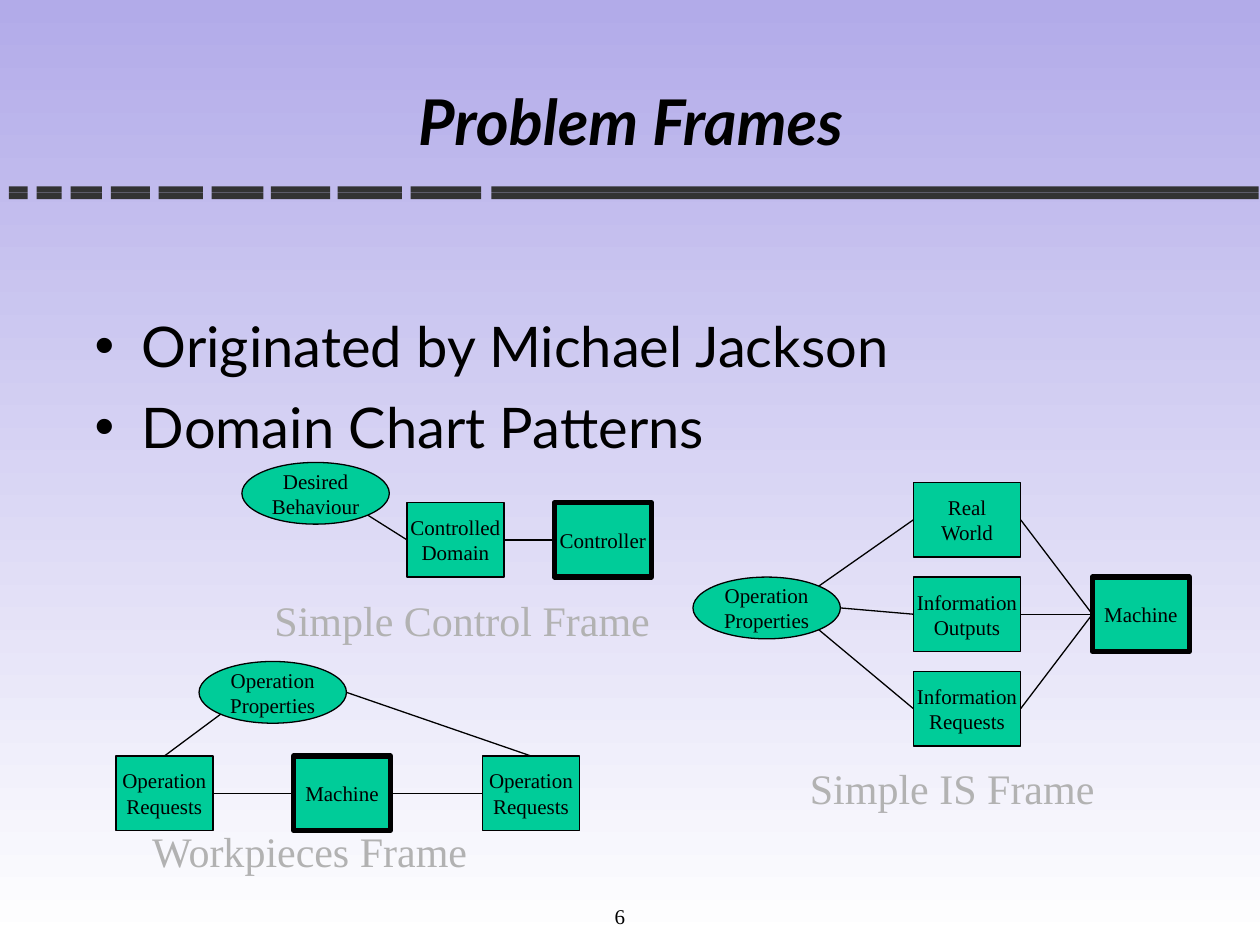
from math import sqrt

from lxml import etree
from pptx import Presentation
from pptx.dml.color import RGBColor
from pptx.enum.shapes import MSO_CONNECTOR, MSO_SHAPE
from pptx.enum.text import MSO_ANCHOR, MSO_AUTO_SIZE, PP_ALIGN
from pptx.oxml.ns import qn
from pptx.util import Inches, Pt

RECT, OVAL = MSO_SHAPE.RECTANGLE, MSO_SHAPE.OVAL
STRAIGHT = MSO_CONNECTOR.STRAIGHT
LEFT, CENTER = PP_ALIGN.LEFT, PP_ALIGN.CENTER
TOP_ANCHOR, MIDDLE, BOTTOM_ANCHOR = MSO_ANCHOR.TOP, MSO_ANCHOR.MIDDLE, MSO_ANCHOR.BOTTOM
FIT_SHAPE, NO_FIT = MSO_AUTO_SIZE.SHAPE_TO_FIT_TEXT, MSO_AUTO_SIZE.NONE

THEME = {
    "sky": "B2ABE9", "white": "FFFFFF", "rule": "333333", "node": "00CC99",
    "ink": "000000", "caption": "B2B2B2",
    "heading_font": "Lato", "diagram_font": "Times New Roman",
    "title_pt": 36, "body_pt": 32, "caption_pt": 24, "node_pt": 12,
    "thin_pt": 0.75, "machine_pt": 3,
}

# Content
TITLE = "Problem Frames"
BULLETS = ["Originated by Michael Jackson", "Domain Chart Patterns"]
PAGE_NUMBER = "6"

# Dashes of the rule under the title: (left, width)
DASHES = [(0.07, 0.15), (0.29, 0.2), (0.56, 0.25), (0.88, 0.31), (1.26, 0.35),
          (1.68, 0.41), (2.15, 0.47), (2.68, 0.51), (3.26, 0.56), (3.9, 6.09)]
DASH_ROWS, DASH_HEIGHT = (1.48, 1.53), 0.05

# Node kinds: (outline, width, height, line width)
KINDS = {
    "domain": (RECT, 0.77, 0.59, THEME["thin_pt"]),
    "wide": (RECT, 0.85, 0.59, THEME["thin_pt"]),
    "machine": (RECT, 0.77, 0.59, THEME["machine_pt"]),
    "requirement": (OVAL, 1.17, 0.49, THEME["thin_pt"]),
}

# Frames: caption (text, left, top, width); nodes key: (kind, text, left, top);
# links: (node, side, node, side)
IS_TOP, IS_STEP = 3.83, 0.75
FRAMES = [
    {
        "caption": ("Simple Control Frame", 2.08, 4.67, 3.18),
        "nodes": {
            "domain": ("domain", "Controlled\nDomain", 3.23, 3.99),
            "behaviour": ("requirement", "Desired\nBehaviour", 1.92, 3.67),
            "controller": ("machine", "Controller", 4.4, 3.99),
        },
        "links": [("controller", "left", "domain", "right"),
                  ("behaviour", "lower right", "domain", "left")],
    },
    {
        "caption": ("Workpieces Frame", 1.11, 6.5, 2.72),
        "nodes": {
            "first": ("domain", "Operation\nRequests", 0.92, 6),
            "properties": ("requirement", "Operation\nProperties", 1.58, 5.25),
            "machine": ("machine", "Machine", 2.33, 6),
            "second": ("domain", "Operation\nRequests", 3.83, 6),
        },
        "links": [("machine", "left", "first", "right"),
                  ("properties", "lower left", "first", "top"),
                  ("second", "left", "machine", "right"),
                  ("properties", "right", "second", "top")],
    },
    {
        "caption": ("Simple IS Frame", 6.33, 6, 2.46),
        "nodes": {
            "world": ("wide", "Real\nWorld", 7.25, IS_TOP),
            "outputs": ("wide", "Information\nOutputs", 7.25, IS_TOP + IS_STEP),
            "requests": ("wide", "Information\nRequests", 7.25, IS_TOP + 2 * IS_STEP),
            "properties": ("requirement", "Operation\nProperties", 5.5, IS_TOP + IS_STEP),
            "machine": ("machine", "Machine", 8.67, IS_TOP + IS_STEP),
        },
        "links": [("properties", "upper right", "world", "left"),
                  ("properties", "right", "outputs", "left"),
                  ("properties", "lower right", "requests", "left"),
                  ("world", "right", "machine", "left"),
                  ("outputs", "right", "machine", "left"),
                  ("requests", "right", "machine", "left")],
    },
]

RECT_SITES = {"top": 0, "left": 1, "bottom": 2, "right": 3}
DIAGONAL = sqrt(0.5)
DIRECTIONS = {
    "top": (0, -1), "left": (-1, 0), "bottom": (0, 1), "right": (1, 0),
    "upper right": (DIAGONAL, -DIAGONAL), "lower right": (DIAGONAL, DIAGONAL),
    "lower left": (-DIAGONAL, DIAGONAL),
}


def color(name):
    return RGBColor.from_string(THEME[name])


def write(frame, text, role, font, ink="ink", align=LEFT, anchor=TOP_ANCHOR,
          wrap=True, fit=NO_FIT):
    frame.text = text
    frame.word_wrap, frame.auto_size, frame.vertical_anchor = wrap, fit, anchor
    for paragraph in frame.paragraphs:
        paragraph.alignment = align
        paragraph.font.name = THEME[font]
        paragraph.font.size = Pt(THEME[role])
        paragraph.font.color.rgb = color(ink)


def place(shape, left, top, width, height):
    shape.left, shape.top = Inches(left), Inches(top)
    shape.width, shape.height = Inches(width), Inches(height)


def add_filled(slide, outline, fill, left, top, width, height):
    shape = slide.shapes.add_shape(outline, Inches(left), Inches(top),
                                   Inches(width), Inches(height))
    shape.shadow.inherit = False
    shape.fill.solid()
    shape.fill.fore_color.rgb = color(fill)
    return shape


def add_node(slide, kind, text, left, top):
    outline, width, height, line_pt = KINDS[kind]
    node = add_filled(slide, outline, "node", left, top, width, height)
    node.line.color.rgb = color("ink")
    node.line.width = Pt(line_pt)
    write(node.text_frame, text, "node_pt", "diagram_font",
          align=CENTER, anchor=MIDDLE, wrap=False)
    return node


def edge_point(node, side):
    dx, dy = DIRECTIONS[side]
    return (round(node.left + node.width * (1 + dx) / 2),
            round(node.top + node.height * (1 + dy) / 2))


def add_link(slide, start, start_side, end, end_side):
    link = slide.shapes.add_connector(STRAIGHT, *edge_point(start, start_side),
                                      *edge_point(end, end_side))
    if start.auto_shape_type == RECT:
        link.begin_connect(start, RECT_SITES[start_side])
    link.end_connect(end, RECT_SITES[end_side])
    link.line.color.rgb = color("ink")
    link.line.width = Pt(THEME["thin_pt"])
    etree.SubElement(link._element.spPr, qn("a:effectLst"))


def add_label(slide, text, left, top, width, role, **style):
    label = slide.shapes.add_textbox(Inches(left), Inches(top), Inches(width), Inches(0.5))
    write(label.text_frame, text, role, "diagram_font", **style)


def main():
    deck = Presentation()
    deck.slide_width, deck.slide_height = Inches(10), Inches(7.5)
    slide = deck.slides.add_slide(deck.slide_layouts[1])

    # Background
    backdrop = slide.background.fill
    backdrop.gradient()
    backdrop.gradient_angle = 270
    for stop, name in zip(backdrop.gradient_stops, ("sky", "white")):
        stop.color.rgb = color(name)

    # Dashed rule
    for top in DASH_ROWS:
        for left, width in DASHES:
            dash = add_filled(slide, RECT, "rule", left, top, width, DASH_HEIGHT)
            dash.line.fill.background()

    # Title and bullets
    title, body = slide.shapes.title, slide.placeholders[1]
    place(title, 0.97, 0.33, 8.07, 1.25)
    write(title.text_frame, TITLE, "title_pt", "heading_font", align=CENTER, anchor=MIDDLE)
    title_font = title.text_frame.paragraphs[0].font
    title_font.bold = title_font.italic = True
    place(body, 0.65, 2.42, 8.7, 4.24)
    write(body.text_frame, "\n".join(BULLETS), "body_pt", "heading_font")
    for index, paragraph in enumerate(body.text_frame.paragraphs):
        paragraph.space_before = Pt(8 if index else 0)

    # Problem frames
    for frame in FRAMES:
        nodes = {key: add_node(slide, *node) for key, node in frame["nodes"].items()}
        for start, start_side, end, end_side in frame["links"]:
            add_link(slide, nodes[start], start_side, nodes[end], end_side)
        add_label(slide, *frame["caption"], "caption_pt", ink="caption",
                  wrap=False, fit=FIT_SHAPE)

    # Page number
    add_label(slide, PAGE_NUMBER, 4.42, 6.92, 1, "node_pt",
              align=CENTER, anchor=BOTTOM_ANCHOR)

    deck.save("out.pptx")


if __name__ == "__main__":
    main()
